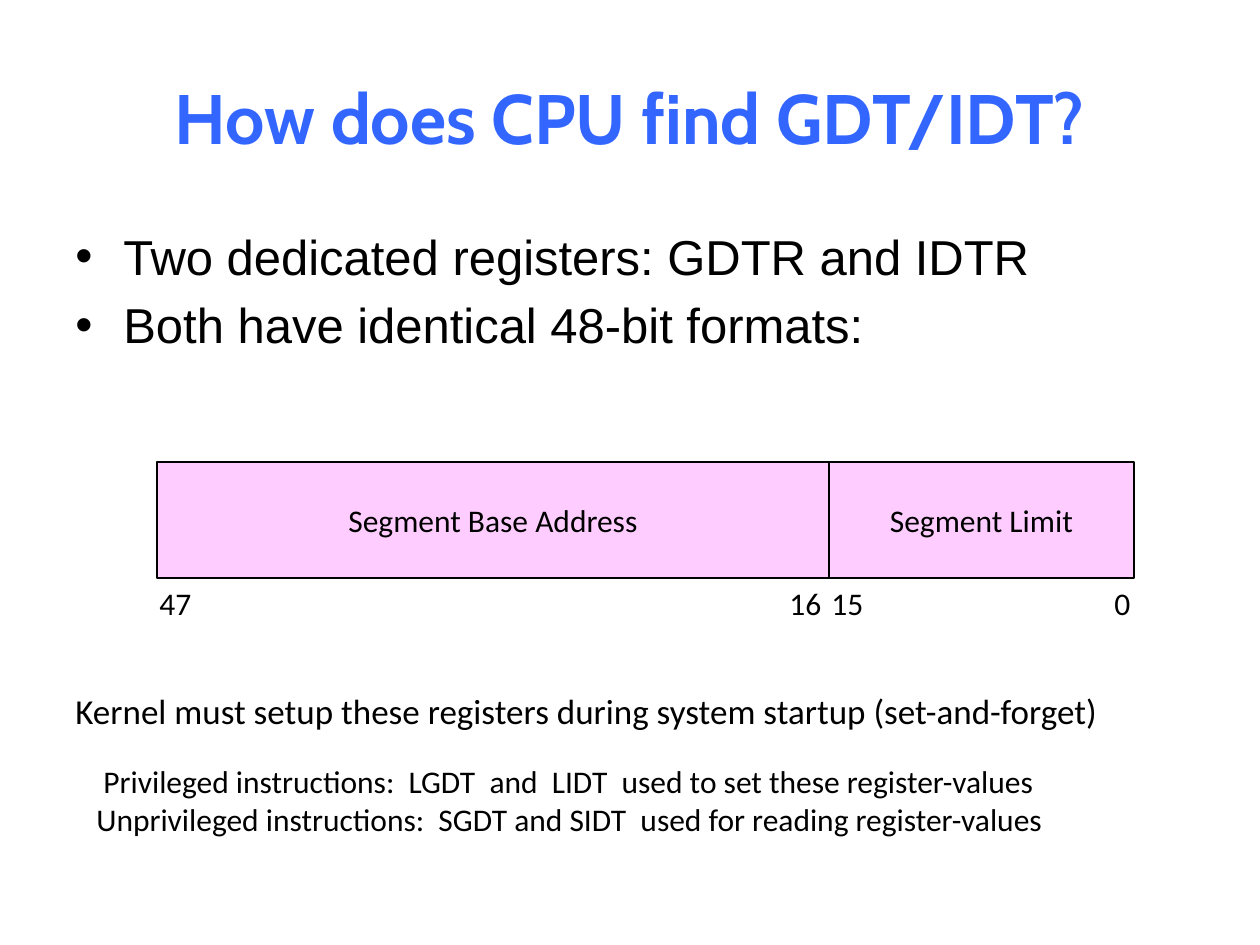
from lxml.etree import SubElement
from pptx import Presentation
from pptx.dml.color import RGBColor
from pptx.enum.shapes import MSO_SHAPE
from pptx.enum.text import MSO_ANCHOR, PP_ALIGN
from pptx.oxml.ns import qn
from pptx.util import Emu, Pt

PX_PER_INCH = 126
FIELD_TOP, FIELD_HEIGHT = 462, 116
BIT_WIDTH, BIT_HEIGHT = 60, 50
BULLET_INDENT = 48


def px(length):
    return Emu(round(length * 914400 / PX_PER_INCH))


def color(hex_code):
    return RGBColor.from_string(hex_code)


def write(frame, lines, size, font="Calibri", ink="000000", bold=False,
          align=PP_ALIGN.LEFT, anchor=MSO_ANCHOR.TOP):
    frame.word_wrap = True
    frame.vertical_anchor = anchor
    frame.text = "\n".join(lines)
    for paragraph in frame.paragraphs:
        paragraph.alignment = align
        for run in paragraph.runs:
            run.font.size = Pt(size)
            run.font.name = font
            run.font.bold = bold
            run.font.color.rgb = color(ink)


def add_text(slide, left, top, width, height, lines, size, **style):
    frame = slide.shapes.add_textbox(px(left), px(top), px(width), px(height)).text_frame
    write(frame, lines, size, **style)
    return frame


def add_bullets(slide, left, top, width, height, lines, size):
    frame = add_text(slide, left, top, width, height, lines, size, font="Arial")
    for paragraph in frame.paragraphs:
        properties = paragraph._p.get_or_add_pPr()
        properties.set("marL", str(px(BULLET_INDENT)))
        properties.set("indent", str(-px(BULLET_INDENT)))
        spacing = SubElement(properties, qn("a:spcBef"))
        SubElement(spacing, qn("a:spcPct")).set("val", "20000")
        SubElement(properties, qn("a:buFont")).set("typeface", "Arial")
        SubElement(properties, qn("a:buChar")).set("char", "•")


def add_field(slide, left, width, label):
    field = slide.shapes.add_shape(
        MSO_SHAPE.RECTANGLE, px(left), px(FIELD_TOP), px(width), px(FIELD_HEIGHT))
    field.shadow.inherit = False
    field.fill.solid()
    field.fill.fore_color.rgb = color("FFCCFF")
    field.line.color.rgb = color("000000")
    field.line.width = Pt(0.75)
    write(field.text_frame, [label], 18, align=PP_ALIGN.CENTER, anchor=MSO_ANCHOR.MIDDLE)


def add_bit_number(slide, left, number):
    add_text(slide, left, FIELD_TOP + FIELD_HEIGHT, BIT_WIDTH, BIT_HEIGHT, [number], 18)


def main():
    deck = Presentation()
    deck.slide_width, deck.slide_height = px(1260), px(945)
    slide = deck.slides.add_slide(deck.slide_layouts[6])

    add_text(slide, 63, 38, 1134, 157, ["How does CPU find GDT/IDT?"], 40,
             font="Cabin", ink="3366FF", bold=True,
             align=PP_ALIGN.CENTER, anchor=MSO_ANCHOR.MIDDLE)
    add_bullets(slide, 63, 220, 1134, 624, [
        "Two dedicated registers: GDTR and IDTR",
        "Both have identical 48-bit formats:",
    ], 28)

    for left, width, label in [(157, 672, "Segment Base Address"),
                               (829, 305, "Segment Limit")]:
        add_field(slide, left, width, label)
    for left, number in [(147, "47"), (777, "16"), (819, "15"), (1102, "0")]:
        add_bit_number(slide, left, number)

    add_text(slide, 63, 683, 1140, 54, [
        "Kernel must setup these registers during system startup (set-and-forget)",
    ], 20)
    add_text(slide, 84, 756, 1084, 88, [
        " Privileged instructions:  LGDT  and  LIDT  used to set these register-values",
        "Unprivileged instructions:  SGDT and SIDT  used for reading register-values",
    ], 18)

    deck.save("out.pptx")


if __name__ == "__main__":
    main()
